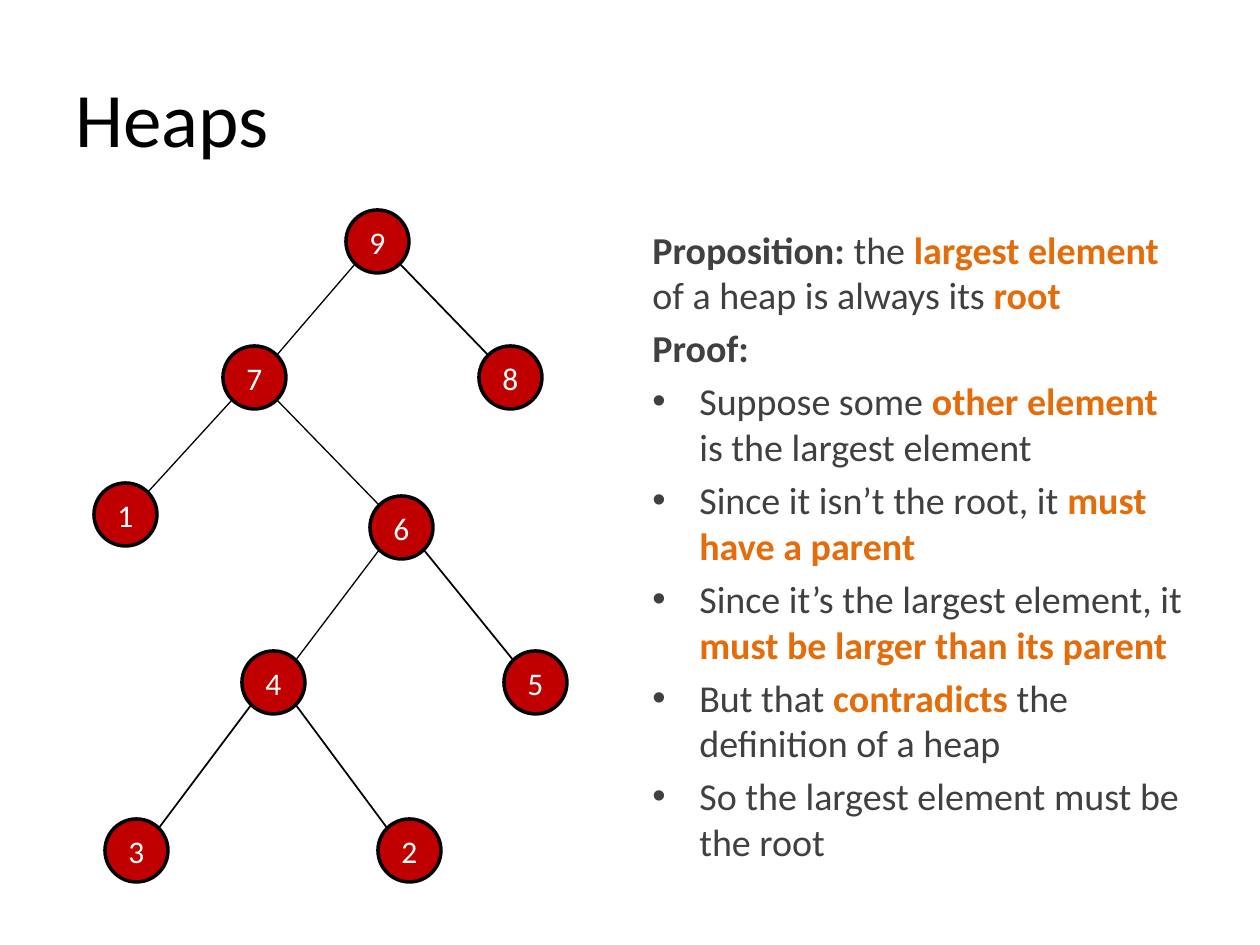
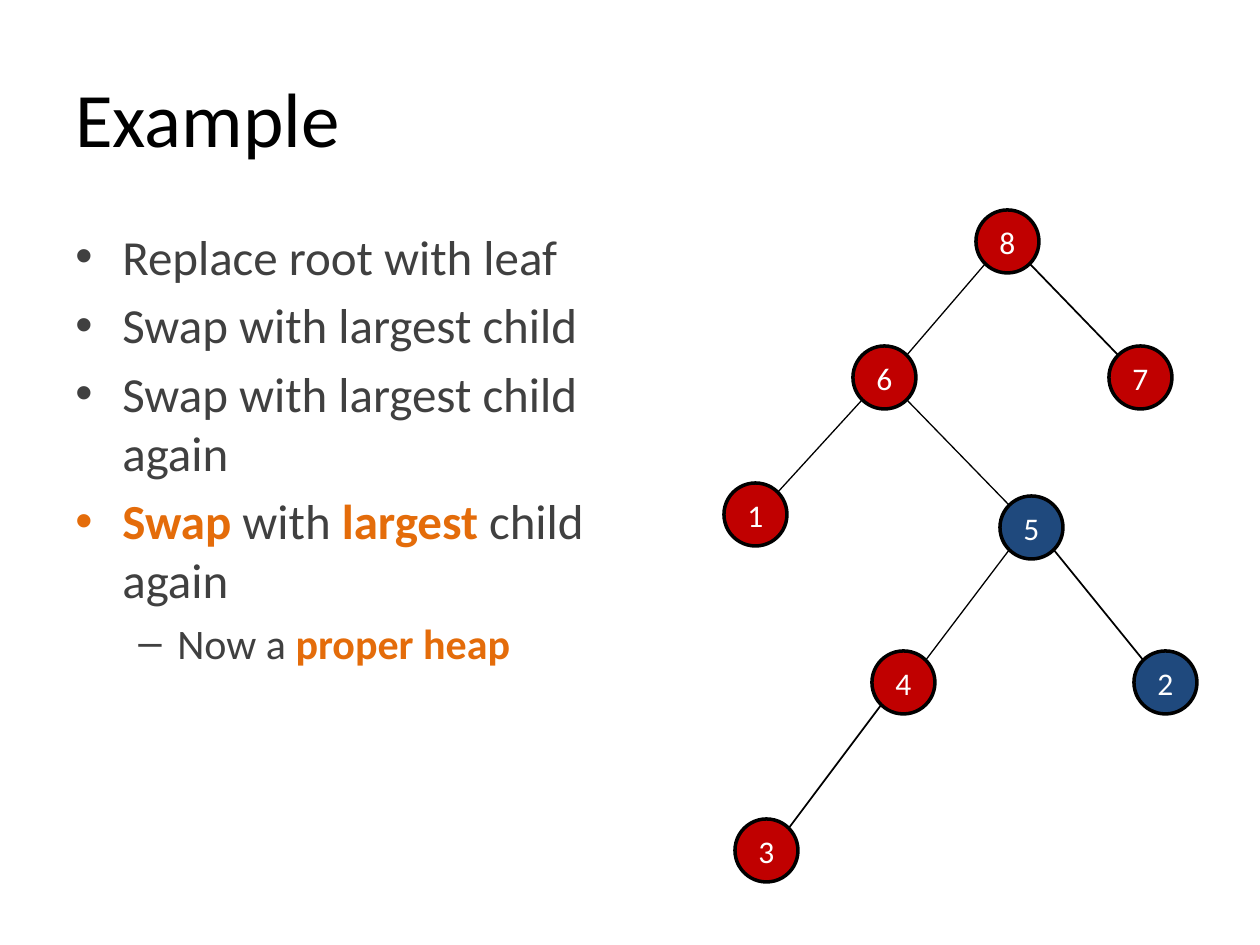
"""Builds two slides about heaps, each with a title, text and a binary tree."""
from lxml.etree import SubElement
from pptx import Presentation
from pptx.dml.color import RGBColor
from pptx.enum.shapes import MSO_CONNECTOR as Connector, MSO_SHAPE as Shape
from pptx.enum.text import MSO_ANCHOR as Anchor, PP_ALIGN as Align
from pptx.oxml.ns import qn
from pptx.util import Emu, Pt

SCALE = 914400 / 126
BLACK = RGBColor(0x00, 0x00, 0x00)
WHITE = RGBColor(0xFF, 0xFF, 0xFF)
GREY = RGBColor(0x40, 0x40, 0x40)
ORANGE = RGBColor(0xE4, 0x6C, 0x0A)
RED = RGBColor(0xC0, 0x00, 0x00)
BLUE = RGBColor(0x1F, 0x49, 0x7D)
FONT = "Calibri"

NODE = 63
DIAGONAL = 22
PLACES = {
    "root": (346, 210), "left": (223, 346), "right": (479, 346),
    "left leaf": (94, 483), "middle": (370, 496), "low": (242, 651),
    "middle leaf": (504, 651), "low left": (105, 819), "low right": (378, 819),
}
EDGES = [
    ("root", "left", 0.75), ("root", "right", 1),
    ("left", "left leaf", 0.75), ("left", "middle", 0.75),
    ("middle", "low", 0.75), ("middle leaf", "middle", 1),
    ("low", "low left", 1), ("low", "low right", 1),
]
BULLETS = {"•": (47, -47), "–": (102, -39)}

SLIDES = [
    {
        "title": "Heaps",
        "body": (640, 220, 557, 703),
        "text": [
            ("#Proposition: |the |*largest element |of a heap is always its |*root", None, 21.7),
            ("#Proof:", None, 21.7),
            ("Suppose some |*other element |is the largest element", "•", 21.7),
            ("Since it isn’t the root, it |*must have a parent", "•", 21.7),
            ("Since it’s the largest element, it |*must be larger than its parent", "•", 21.7),
            ("But that |*contradicts |the definition of a heap", "•", 21.7),
            ("So the largest element must be the root", "•", 21.7),
        ],
        "tree_left": 0,
        "values": {"root": 9, "left": 7, "right": 8, "left leaf": 1, "middle": 6,
                   "low": 4, "middle leaf": 5, "low left": 3, "low right": 2},
        "swapped": [],
    },
    {
        "title": "Example",
        "body": (63, 220, 620, 577),
        "text": [
            ("Replace root with leaf", "•", 28),
            ("Swap with largest child", "•", 28),
            ("Swap with largest child again", "•", 28),
            ("*Swap |with |*largest |child again", "•", 28),
            ("Now a |*proper heap", "–", 24),
        ],
        "tree_left": 630,
        "values": {"root": 8, "left": 6, "right": 7, "left leaf": 1, "middle": 5,
                   "low": 4, "middle leaf": 2, "low left": 3},
        "swapped": ["middle", "middle leaf"],
    },
]


def px(*lengths):
    return [Emu(round(length * SCALE)) for length in lengths]


def write(para, text, size, color=GREY, align=Align.LEFT, bullet=None, before=0):
    """Pieces are split at bars; a star marks an accent and a hash marks bold."""
    para.alignment = align
    para.space_before = Pt(before)
    if bullet:
        margin, indent = px(*BULLETS[bullet])
        settings = para._p.get_or_add_pPr()
        settings.set("marL", str(margin))
        settings.set("indent", str(indent))
        SubElement(settings, qn("a:buFont"), typeface="Arial")
        SubElement(settings, qn("a:buChar"), char=bullet)
    for piece in text.split("|"):
        span = para.add_run()
        span.text = piece.lstrip("*#")
        span.font.name = FONT
        span.font.size = Pt(size)
        span.font.bold = piece[0] in "*#"
        span.font.color.rgb = ORANGE if piece[0] == "*" else color


deck = Presentation()
deck.slide_width, deck.slide_height = px(1260, 945)

for content in SLIDES:
    page = deck.slides.add_slide(deck.slide_layouts[6])
    page.background.fill.solid()
    page.background.fill.fore_color.rgb = WHITE

    title = page.shapes.add_textbox(*px(63, 38, 1134, 157)).text_frame
    title.word_wrap = True
    title.vertical_anchor = Anchor.MIDDLE
    write(title.paragraphs[0], content["title"], size=44, color=BLACK)

    body = page.shapes.add_textbox(*px(*content["body"])).text_frame
    body.word_wrap = True
    for index, (text, bullet, size) in enumerate(content["text"]):
        para = body.add_paragraph() if index else body.paragraphs[0]
        write(para, text, size=size, bullet=bullet, before=round(size * 0.2, 1))

    centers = {
        name: (PLACES[name][0] + content["tree_left"] + NODE / 2, PLACES[name][1] + NODE / 2)
        for name in content["values"]
    }
    for start, end, width in EDGES:
        if start not in centers or end not in centers:
            continue
        (x1, y1), (x2, y2) = centers[start], centers[end]
        across = DIAGONAL if x2 > x1 else -DIAGONAL
        down = DIAGONAL if y2 > y1 else -DIAGONAL
        edge = page.shapes.add_connector(
            Connector.STRAIGHT, *px(x1 + across, y1 + down, x2 - across, y2 - down))
        edge.line.color.rgb = BLACK
        edge.line.width = Pt(width)
        SubElement(edge._element.spPr, qn("a:effectLst"))

    for name, value in content["values"].items():
        x, y = centers[name]
        node = page.shapes.add_shape(Shape.OVAL, *px(x - NODE / 2, y - NODE / 2, NODE, NODE))
        node.shadow.inherit = False
        node.fill.solid()
        node.fill.fore_color.rgb = BLUE if name in content["swapped"] else RED
        node.line.color.rgb = BLACK
        node.line.width = Pt(2)
        label = node.text_frame
        label.margin_left = label.margin_right = 0
        label.vertical_anchor = Anchor.MIDDLE
        write(label.paragraphs[0], str(value), size=18, color=WHITE, align=Align.CENTER)

deck.save("out.pptx")
